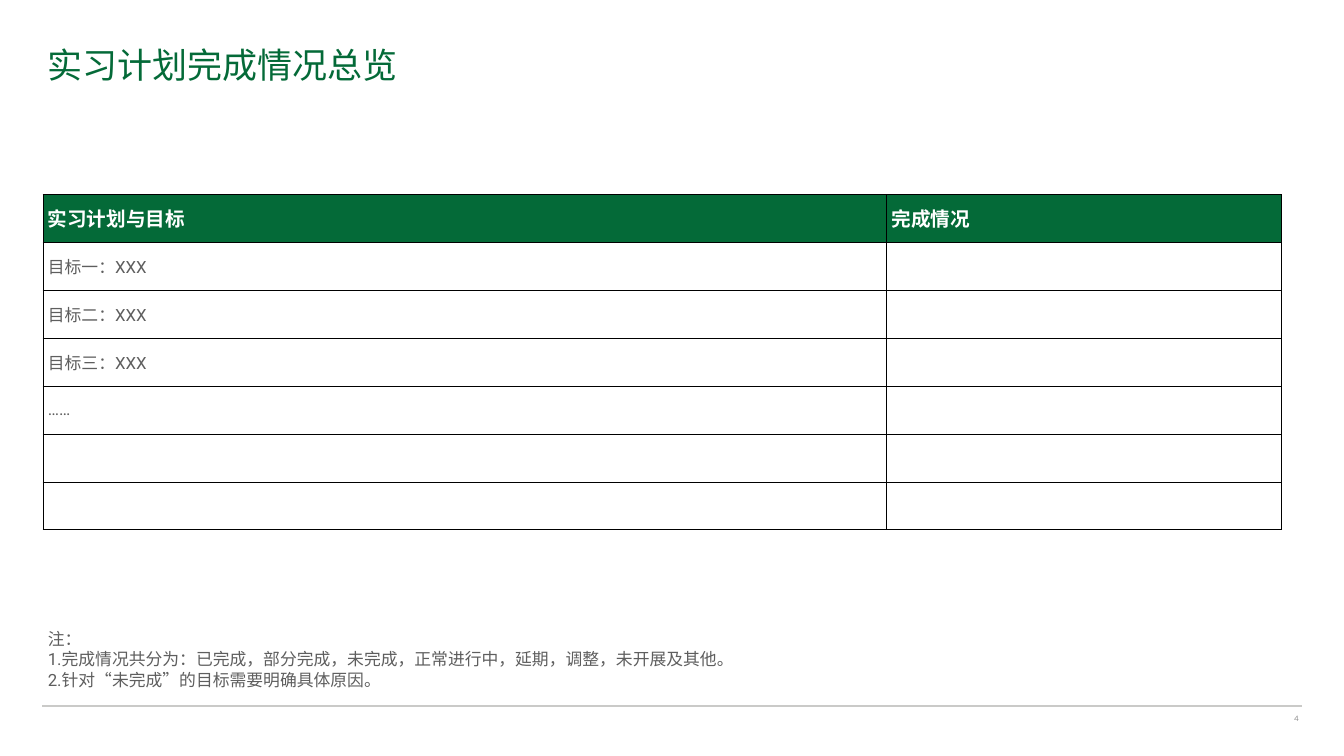
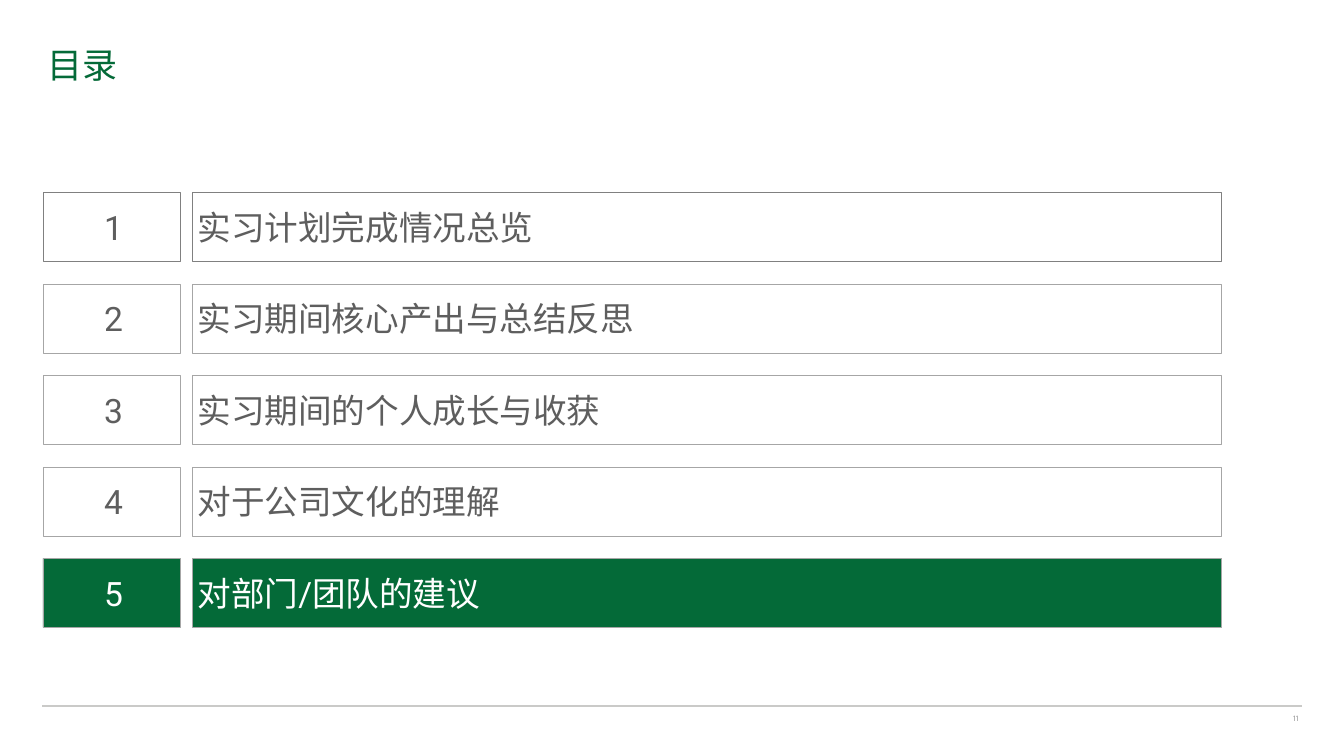
"""Build the internship plan overview and agenda slides."""
from dataclasses import dataclass

from lxml.etree import SubElement
from pptx import Presentation
from pptx.dml.color import RGBColor
from pptx.enum.shapes import MSO_CONNECTOR, MSO_SHAPE
from pptx.enum.text import MSO_ANCHOR, MSO_AUTO_SIZE, PP_ALIGN
from pptx.oxml.ns import qn
from pptx.util import Inches, Pt

COLORS = {
    "green": "046A38",
    "white": "FFFFFF",
    "black": "000000",
    "text": "5E5E5E",
    "rule": "CACAC8",
    "page": "929292",
    "dark_edge": "808080",
    "edge": "A6A6A6",
}
HEAD_FONT, BODY_FONT = "Karla", "Roboto"
LEFT, WIDTH = 0.85, 24.98

GOALS = ["目标一：XXX", "目标二：XXX", "目标三：XXX", "……", "", ""]
TABLE_ROWS = [("实习计划与目标", "完成情况")] + [(goal, "") for goal in GOALS]
COLUMN_WIDTHS = (16.74, 7.84)
ROW_HEIGHT = 0.95
NOTES = (
    "注：\n"
    "1.完成情况共分为：已完成，部分完成，未完成，正常进行中，延期，调整，未开展及其他。\n"
    "2.针对“未完成”的目标需要明确具体原因。"
)

AGENDA_TOP, AGENDA_LAST_TOP, AGENDA_HEIGHT = 3.82, 11.08, 1.37


@dataclass(frozen=True)
class AgendaItem:
    label: str
    edge: str = "edge"
    fill: str = "white"
    color: str = "text"


@dataclass(frozen=True)
class AgendaColumn:
    left: float
    width: float
    line: float
    align: PP_ALIGN
    margins: tuple[float, float]


AGENDA = [
    AgendaItem("实习计划完成情况总览", edge="dark_edge"),
    AgendaItem("实习期间核心产出与总结反思"),
    AgendaItem("实习期间的个人成长与收获"),
    AgendaItem("对于公司文化的理解"),
    AgendaItem("对部门/团队的建议", fill="green", color="white"),
]
NUMBER_COLUMN = AgendaColumn(LEFT, 2.73, 0.75, PP_ALIGN.CENTER, (0.13, 0.05))
LABEL_COLUMN = AgendaColumn(3.82, 20.42, 0.5, PP_ALIGN.LEFT, (0.1, 0.1))


def rgb(name: str) -> RGBColor:
    return RGBColor.from_string(COLORS[name])


def set_text(tf, text: str, size: float, color: str, font: str = BODY_FONT,
             align: PP_ALIGN = PP_ALIGN.LEFT, bold: bool = False) -> None:
    tf.text = text
    for p in tf.paragraphs:
        p.alignment = align
        for r in p.runs:
            r.font.size, r.font.name, r.font.bold = Pt(size), font, bold
            r.font.color.rgb = rgb(color)


def add_text(s, left: float, top: float, width: float, height: float):
    tf = s.shapes.add_textbox(Inches(left), Inches(top), Inches(width), Inches(height)).text_frame
    tf.word_wrap = True
    tf.auto_size = MSO_AUTO_SIZE.SHAPE_TO_FIT_TEXT
    return tf


def add_footer(s, page: int) -> None:
    y = Inches(14.01)
    rule = s.shapes.add_connector(MSO_CONNECTOR.STRAIGHT, Inches(0.84), y, Inches(25.83), y)
    rule.line.color.rgb = rgb("rule")
    rule.line.width = Pt(2)
    SubElement(rule._element.spPr, qn("a:effectLst"))
    tf = add_text(s, 22.84, 14.08, 2.99, 0.31)
    tf.margin_left = tf.margin_right = tf.margin_top = tf.margin_bottom = Inches(0.06)
    set_text(tf, str(page), 12, "page", HEAD_FONT, PP_ALIGN.RIGHT)


def add_slide(prs, title: str, page: int):
    s = prs.slides.add_slide(prs.slide_layouts[5])
    sp = s.shapes.title
    sp.left, sp.top = Inches(LEFT), Inches(0.69)
    sp.width, sp.height = Inches(WIDTH), Inches(1.17)
    tf = sp.text_frame
    tf.vertical_anchor = MSO_ANCHOR.MIDDLE
    tf.auto_size = MSO_AUTO_SIZE.NONE
    set_text(tf, title, 50, "green", HEAD_FONT)
    add_footer(s, page)
    return s


def add_borders(cell) -> None:
    props = cell._tc.get_or_add_tcPr()
    for side in ("a:lnL", "a:lnR", "a:lnT", "a:lnB"):
        line = SubElement(props, qn(side), w=str(Pt(1)))
        fill = SubElement(line, qn("a:solidFill"))
        SubElement(fill, qn("a:srgbClr"), val=COLORS["black"])


def add_goal_table(s) -> None:
    table = s.shapes.add_table(
        len(TABLE_ROWS), len(COLUMN_WIDTHS), Inches(LEFT), Inches(3.86),
        Inches(sum(COLUMN_WIDTHS)), Inches(ROW_HEIGHT * len(TABLE_ROWS))).table
    for column, width in zip(table.columns, COLUMN_WIDTHS):
        column.width = Inches(width)
    for i, texts in enumerate(TABLE_ROWS):
        header = i == 0
        table.rows[i].height = Inches(ROW_HEIGHT)
        for cell, text in zip(table.rows[i].cells, texts):
            add_borders(cell)
            cell.vertical_anchor = MSO_ANCHOR.MIDDLE
            if header:
                cell.fill.solid()
                cell.fill.fore_color.rgb = rgb("green")
            else:
                cell.fill.background()
            if text:
                set_text(cell.text_frame, text, 28 if header else 24,
                         "white" if header else "text", bold=header)


def add_agenda_box(s, column: AgendaColumn, top: float, text: str, item: AgendaItem) -> None:
    sp = s.shapes.add_shape(MSO_SHAPE.RECTANGLE, Inches(column.left), Inches(top),
                            Inches(column.width), Inches(AGENDA_HEIGHT))
    sp.shadow.inherit = False
    sp.fill.solid()
    sp.fill.fore_color.rgb = rgb(item.fill)
    sp.line.color.rgb = rgb(item.edge)
    sp.line.width = Pt(column.line)
    tf = sp.text_frame
    tf.word_wrap = True
    tf.vertical_anchor = MSO_ANCHOR.MIDDLE
    tf.margin_left, tf.margin_right = (Inches(m) for m in column.margins)
    set_text(tf, text, 48, item.color, align=column.align)


def build_overview(prs) -> None:
    s = add_slide(prs, "实习计划完成情况总览", 4)
    add_goal_table(s)
    set_text(add_text(s, LEFT, 12.43, 17.03, 1.31), NOTES, 24, "text")


def build_agenda(prs) -> None:
    s = add_slide(prs, "目录", 11)
    pitch = (AGENDA_LAST_TOP - AGENDA_TOP) / (len(AGENDA) - 1)
    for i, item in enumerate(AGENDA):
        top = AGENDA_TOP + i * pitch
        add_agenda_box(s, NUMBER_COLUMN, top, str(i + 1), item)
        add_agenda_box(s, LABEL_COLUMN, top, item.label, item)


def main() -> None:
    prs = Presentation()
    prs.slide_width, prs.slide_height = Inches(26.67), Inches(15)
    build_overview(prs)
    build_agenda(prs)
    prs.save("out.pptx")


if __name__ == "__main__":
    main()
